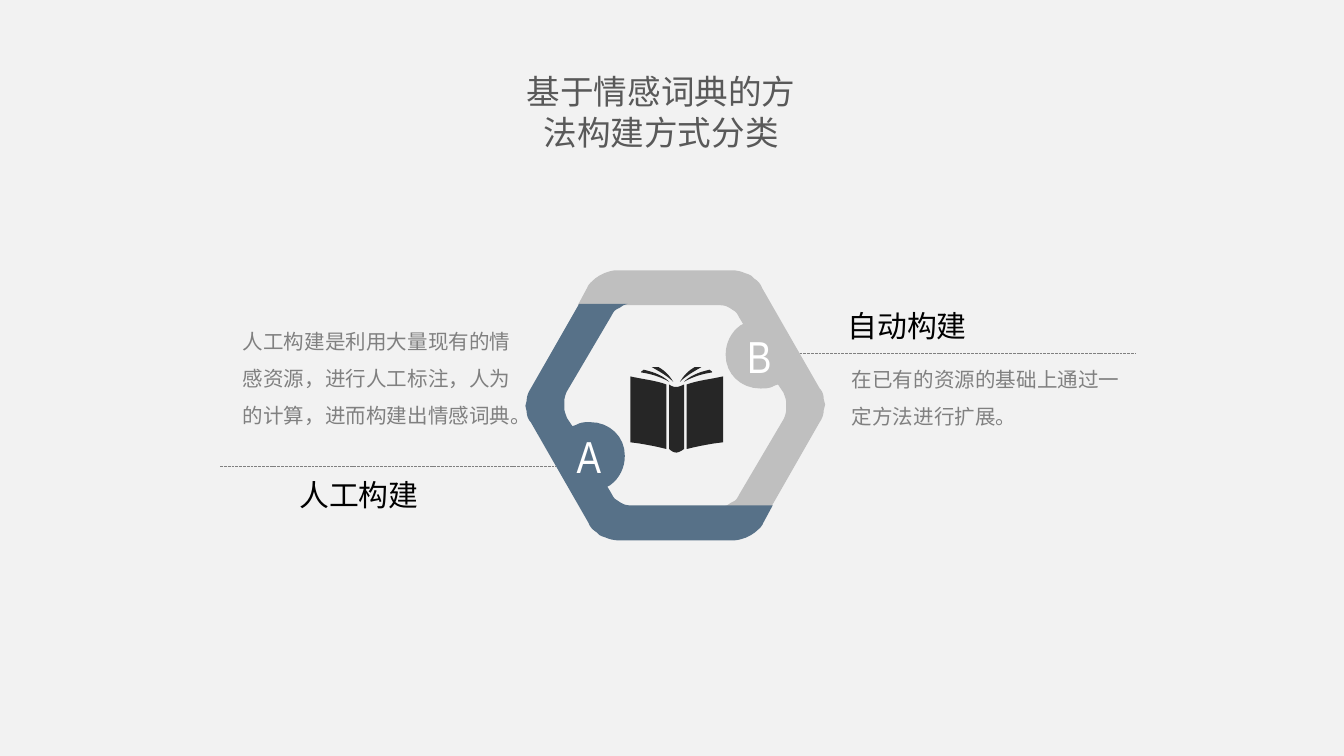
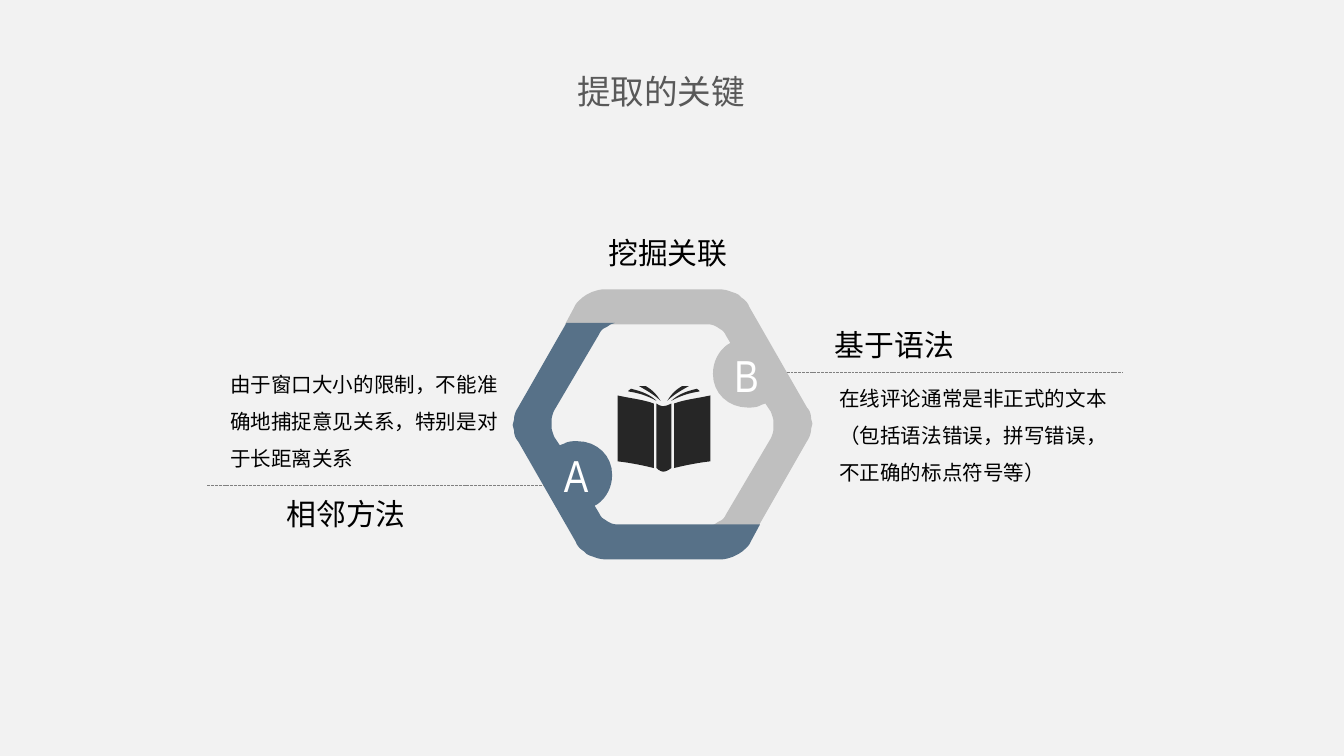
import dataclasses

import lxml.etree
import pptx
import pptx.dml.color
import pptx.enum.dml
import pptx.enum.shapes
import pptx.enum.text
import pptx.oxml.ns
import pptx.util

Cm = pptx.util.Cm
UNIT = Cm(0.0254)  # grid step of the outlines below


@dataclasses.dataclass(frozen=True)
class Theme:
    back: str = "F2F2F2"
    blue: str = "577188"
    silver: str = "BFBFBF"
    grey: str = "808080"
    slate: str = "595959"
    ink: str = "262626"
    black: str = "000000"
    white: str = "FFFFFF"
    latin: str = "Arial"
    thin: str = "Arial Narrow"
    cjk: str = "Noto Sans CJK SC"
    letter: int = 24
    title: int = 18
    head: int = 16
    body: int = 11


# Outlines: a pair is a line end, six numbers are a Bezier curve
RING = [
    (68, 0), (154, 0), (157, 0, 161, 1, 163, 2), (166, 3), (168, 4), (170, 6),
    (173, 8, 175, 10, 176, 13), (219, 88), (221, 90, 222, 93, 222, 96),
    (223, 100), (222, 104), (222, 107, 221, 110, 219, 113), (183, 176),
    (147, 176), (150, 175), (153, 173), (155, 172),
    (157, 171, 158, 169, 159, 167), (192, 111),
    (193, 109, 194, 106, 194, 104), (194, 98), (194, 96, 193, 94, 192, 91),
    (188, 85), (185, 86), (182, 88, 178, 88, 175, 88),
    (160, 88, 149, 77, 149, 63), (149, 54, 153, 46, 160, 41), (162, 40),
    (159, 35), (158, 33, 157, 31, 155, 30), (152, 28), (150, 27),
    (148, 26, 145, 26, 143, 26), (39, 26), (46, 13), (47, 10, 50, 8, 52, 6),
    (55, 4), (59, 2), (62, 1, 65, 0, 68, 0),
]
SPINE = [(107, 85), (111, 88, 114, 87, 118, 85), (118, 133),
         (114, 136, 111, 137, 107, 133)]
HALF = [
    [(105, 85), (105, 133), (97, 131, 87, 129, 78, 128), (78, 79),
     (87, 81, 97, 82, 105, 85)],
    [(110, 83), (107, 78, 104, 75, 99, 72), (94, 72),
     (101, 76, 106, 79, 110, 83)],
    [(107, 83), (100, 79, 93, 77, 86, 76), (86, 75, 87, 75, 88, 74),
     (97, 76, 103, 79, 107, 83)],
]


def mirror(path, wide, high=None):
    """Mirror a path left to right and, given a height, top to bottom."""
    def flip(i, v):
        if i % 2 == 0:
            return wide - v
        return v if high is None else high - v
    return [tuple(flip(i, v) for i, v in enumerate(step)) for step in path]


def flatten(path, steps=8):
    """Turn curves into short lines."""
    dots = []
    for step in path:
        if len(step) == 2:
            dots.append(step)
            continue
        ctrl = [dots[-1], step[:2], step[2:4], step[4:]]
        for k in range(1, steps + 1):
            t = k / steps
            mix = ((1 - t) ** 3, 3 * t * (1 - t) ** 2, 3 * t * t * (1 - t), t ** 3)
            dots.append(tuple(sum(m * c[a] for m, c in zip(mix, ctrl))
                              for a in (0, 1)))
    return dots


class Deck:
    def __init__(self, theme):
        self.theme = theme
        self.file = pptx.Presentation()
        self.file.slide_width, self.file.slide_height = Cm(25.4), Cm(14.29)
        self.slide = None

    def paint(self, fill, tint):
        fill.solid()
        fill.fore_color.rgb = pptx.dml.color.RGBColor.from_string(tint)

    def page(self, title, high, font):
        self.slide = self.file.slides.add_slide(self.file.slide_layouts[6])
        self.paint(self.slide.background.fill, self.theme.back)
        self.text(title, 9.65, 1.22, 5.69, high, self.theme.title,
                  self.theme.slate, font, mid=True)

    def text(self, words, x, y, w, h, size, tint, font=None, mid=False,
             wrap=True, gap=None):
        box = self.slide.shapes.add_textbox(Cm(x), Cm(y), Cm(w), Cm(h))
        frame = box.text_frame
        frame.word_wrap = wrap
        frame.auto_size = pptx.enum.text.MSO_AUTO_SIZE.SHAPE_TO_FIT_TEXT
        para = frame.paragraphs[0]
        para.text = words
        if mid:
            para.alignment = pptx.enum.text.PP_ALIGN.CENTER
        if gap:
            para.line_spacing = gap
        para.font.size = pptx.util.Pt(size)
        para.font.name = font or self.theme.latin
        self.paint(para.font.fill, tint)
        # Chinese glyphs take the CJK face
        qn = pptx.oxml.ns.qn
        props = para._p.pPr.find(qn("a:defRPr"))
        lxml.etree.SubElement(props, qn("a:ea"), typeface=self.theme.cjk)

    def head(self, words, x, y, w=2.79, wrap=False):
        self.text(words, x, y, w, 0.94, self.theme.head, self.theme.black,
                  wrap=wrap)

    def rule(self, x, y):
        line = self.slide.shapes.add_connector(
            pptx.enum.shapes.MSO_CONNECTOR.STRAIGHT,
            Cm(x), Cm(y), Cm(x + 6.35), Cm(y))
        self.paint(line.line.fill, self.theme.grey)
        line.line.width = pptx.util.Pt(0.5)
        line.line.dash_style = pptx.enum.dml.MSO_LINE.SQUARE_DOT
        lxml.etree.SubElement(line._element.spPr,
                              pptx.oxml.ns.qn("a:effectLst"))

    def outline(self, paths, x, y, tint):
        pen = None
        for path in paths:
            dots = [(Cm(x) + UNIT * a, Cm(y) + UNIT * b)
                    for a, b in flatten(path)]
            if pen is None:
                pen = self.slide.shapes.build_freeform(*dots[0])
            else:
                pen.move_to(*dots[0])
            pen.add_line_segments(dots[1:], close=True)
        shape = pen.convert_to_shape()
        shape.shadow.inherit = False
        self.paint(shape.fill, tint)
        shape.line.fill.background()

    def emblem(self, x, y):
        look = self.theme
        parts = [
            ("B", RING, look.silver, 3.3, 0.97, 5.18, 1.57),
            ("A", mirror(RING, 223, 201), look.blue, 0.08, 2.87, -5.77, 3.71),
        ]
        for name, ring, tint, dx, dy, rx, ry in parts:
            self.outline([ring], x, y, tint)
            self.text(name, x + dx, y + dy, 2.24, 1.27, look.letter,
                      look.white, look.thin, mid=True)
            self.rule(x + rx, y + ry)
        book = [SPINE] + HALF + [mirror(path, 225) for path in HALF]
        self.outline(book, x, y, look.ink)

    def pair(self, x, y, left, right, drop, tint, font):
        """Emblem with a heading and a note on each side."""
        self.emblem(x, y)
        spots = [(left, -4.52, 3.78, -5.59, drop),
                 (right, 5.84, 0.58, 5.92, 1.47)]
        for (head, note, high), hx, hy, nx, ny in spots:
            self.text(note, x + nx, y + ny, 5.61, high, self.theme.body,
                      tint, font, gap=1.5)
            self.head(head, x + hx, y + hy)


def main():
    look = Theme()
    deck = Deck(look)

    # Ways to build the lexicon
    deck.page("基于情感词典的方法构建方式分类", 1.8, look.latin)
    deck.pair(
        9.93, 5.11,
        ("人工构建", "人工构建是利用大量现有的情感资源，进行人工标注，人为的计算，"
         "进而构建出情感词典。", 2.36),
        ("自动构建", "在已有的资源的基础上通过一定方法进行扩展。", 1.57),
        0.76, look.grey, look.cjk)

    # Key to extraction
    deck.page("提取的关键", 1.02, look.cjk)
    deck.pair(
        9.69, 5.47,
        ("相邻方法", "由于窗口大小的限制，不能准确地捕捉意见关系，"
         "特别是对于长距离关系", 2.29),
        ("基于语法", "在线评论通常是非正式的文本（包括语法错误，拼写错误，"
         "不正确的标点符号等）", 2.29),
        1.21, look.black, look.latin)
    deck.head("挖掘关联", 11.25, 4.32, 3.1, wrap=True)

    deck.file.save("out.pptx")


if __name__ == "__main__":
    main()
